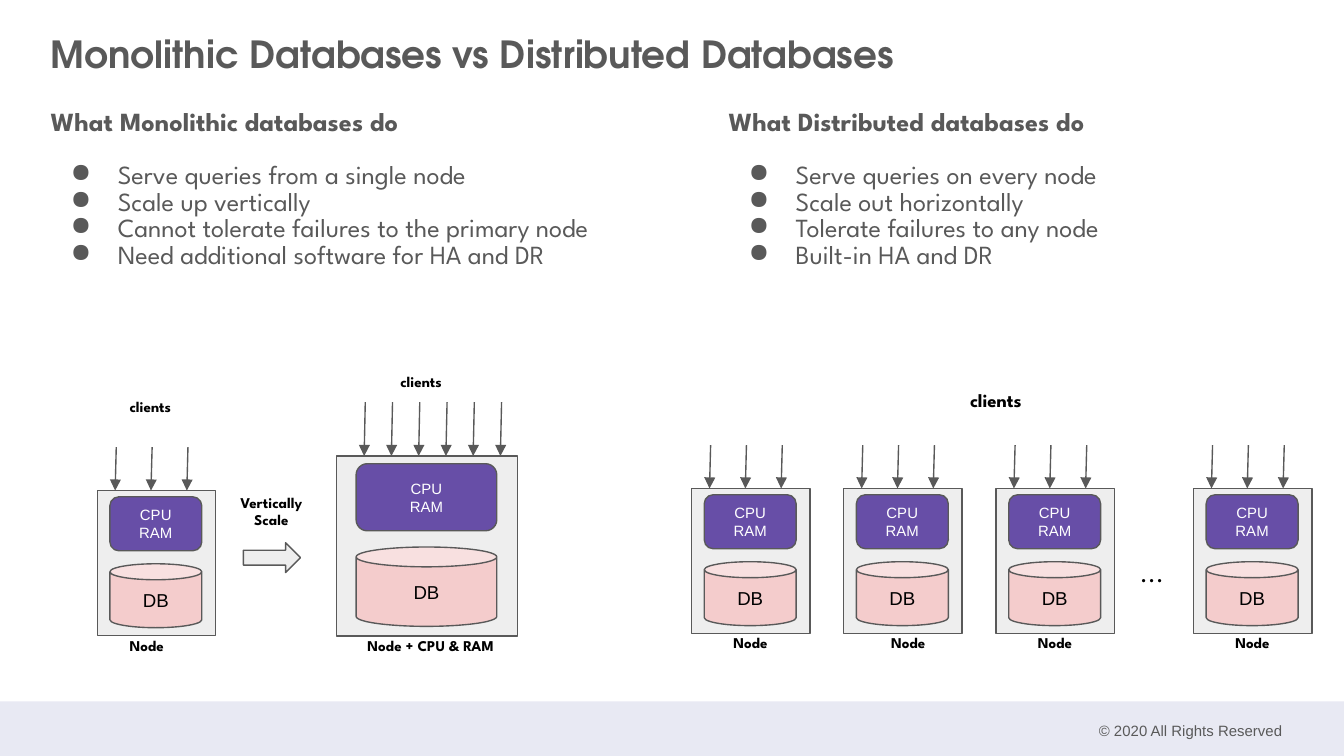
from dataclasses import dataclass

from lxml import etree
from pptx import Presentation
from pptx.dml.color import RGBColor
from pptx.enum.shapes import MSO_CONNECTOR, MSO_SHAPE
from pptx.enum.text import MSO_ANCHOR, MSO_AUTO_SIZE, PP_ALIGN
from pptx.oxml.ns import qn
from pptx.util import Pt

LEFT, CENTER = PP_ALIGN.LEFT, PP_ALIGN.CENTER
TOP, MIDDLE = MSO_ANCHOR.TOP, MSO_ANCHOR.MIDDLE
GROW, FIXED = MSO_AUTO_SIZE.SHAPE_TO_FIT_TEXT, MSO_AUTO_SIZE.NONE
STRAIGHT = MSO_CONNECTOR.STRAIGHT
RECTANGLE, ROUNDED = MSO_SHAPE.RECTANGLE, MSO_SHAPE.ROUNDED_RECTANGLE
CAN, RIGHT_ARROW = MSO_SHAPE.CAN, MSO_SHAPE.RIGHT_ARROW


@dataclass(frozen=True)
class Theme:
    gray: str = "595959"
    black: str = "000000"
    white: str = "FFFFFF"
    panel: str = "EEEEEE"
    purple: str = "674EA7"
    pink: str = "F4CCCC"
    footer: str = "E8E9F3"
    title_font: str = "TeX Gyre Adventor"
    body_font: str = "League Spartan"
    plain_font: str = "Arial"
    title_size: float = 20
    body_size: float = 14
    database_size: float = 10
    small_size: float = 8
    line_width: float = 0.75


class SlideBuilder:
    def __init__(self, slide, theme):
        self.slide = slide
        self.theme = theme

    def set_text(self, frame, lines, size, color, font, bold=False,
                 align=LEFT, anchor=TOP, inset=7.2, spacing=None):
        frame_format = {
            "word_wrap": True, "vertical_anchor": anchor,
            "margin_left": Pt(7.2), "margin_right": Pt(7.2),
            "margin_top": Pt(inset), "margin_bottom": Pt(inset),
        }
        font_format = {"name": font, "size": Pt(size), "bold": bold}
        for name, value in frame_format.items():
            setattr(frame, name, value)
        for index, line in enumerate(lines):
            paragraph = frame.paragraphs[0] if index == 0 else frame.add_paragraph()
            paragraph.alignment = align
            if spacing:
                paragraph.line_spacing = spacing
            run = paragraph.add_run()
            run.text = line
            for name, value in font_format.items():
                setattr(run.font, name, value)
            run.font.color.rgb = RGBColor.from_string(color)

    def text(self, box, lines, size, color, font, auto_size=FIXED, **style):
        shape = self.slide.shapes.add_textbox(*map(Pt, box))
        self.set_text(shape.text_frame, lines, size, color, font, **style)
        shape.text_frame.auto_size = auto_size
        return shape

    def label(self, box, lines, size=None, bold=True, align=LEFT):
        theme = self.theme
        self.text(box, lines, size or theme.small_size, theme.black,
                  theme.body_font, GROW, bold=bold, align=align)

    def column(self, box, heading, items):
        theme = self.theme
        shape = self.text(box, [heading, *items], theme.body_size, theme.gray,
                          theme.body_font, inset=3.6, spacing=0.85)
        first, *bullets = shape.text_frame.paragraphs
        first.runs[0].font.bold = True
        bullets[0].space_before = Pt(14.25)
        for paragraph in bullets:
            properties = paragraph._p.get_or_add_pPr()
            properties.set("marL", str(Pt(36)))
            properties.set("indent", str(Pt(-25.2)))
            color = etree.SubElement(properties, qn("a:buClr"))
            etree.SubElement(color, qn("a:srgbClr"), val=theme.gray)
            etree.SubElement(properties, qn("a:buChar"), char="●")

    def shape(self, parent, kind, box, fill, outlined=True):
        shape = parent.add_shape(kind, *map(Pt, box))
        shape.shadow.inherit = False
        shape.fill.solid()
        shape.fill.fore_color.rgb = RGBColor.from_string(fill)
        if outlined:
            self.outline(shape.line)
        else:
            shape.line.fill.background()
        return shape

    def outline(self, line):
        line.color.rgb = RGBColor.from_string(self.theme.gray)
        line.width = Pt(self.theme.line_width)

    def arrow(self, parent, *ends):
        connector = parent.add_connector(STRAIGHT, *map(Pt, ends))
        self.outline(connector.line)
        properties = connector._element.spPr
        etree.SubElement(properties.find(qn("a:ln")), qn("a:tailEnd"), type="triangle")
        etree.SubElement(properties, qn("a:effectLst"))

    def node(self, box, arrow_count, arrow_start, arrow_step, arrow_height):
        """Draw a server with its parts in proportion to the outer box."""
        theme = self.theme
        left, top, width, height = box
        parts = self.slide.shapes.add_group_shape().shapes
        self.shape(parts, RECTANGLE, box, theme.panel)
        part_left, part_width = left + 0.107 * width, 0.777 * width
        processor = self.shape(
            parts, ROUNDED,
            (part_left, top + 0.043 * height, part_width, 0.373 * height),
            theme.purple)
        self.set_text(processor.text_frame, ["CPU", "RAM"], theme.small_size,
                      theme.white, theme.plain_font, align=CENTER, anchor=MIDDLE)
        database = self.shape(
            parts, CAN,
            (part_left, top + 0.506 * height, part_width, 0.441 * height),
            theme.pink)
        self.set_text(database.text_frame, ["DB"], theme.database_size,
                      theme.black, theme.plain_font, align=CENTER, anchor=MIDDLE)
        for index in range(arrow_count):
            x = left + arrow_start + index * arrow_step
            self.arrow(parts, x, top - arrow_height, x - 0.6, top)


def main():
    theme = Theme()
    presentation = Presentation()
    presentation.slide_width, presentation.slide_height = Pt(720), Pt(405)
    slide = presentation.slides.add_slide(presentation.slide_layouts[6])
    builder = SlideBuilder(slide, theme)

    # Footer
    builder.shape(slide.shapes, RECTANGLE, (0, 375.8, 720, 31),
                  theme.footer, outlined=False)
    builder.text((581, 375.8, 113.8, 31), ["© 2020 All Rights Reserved"],
                 theme.small_size, theme.gray, theme.plain_font,
                 align=CENTER, anchor=MIDDLE)

    # Title and the two bullet columns
    builder.text((20, 16.6, 680, 49), ["Monolithic Databases vs Distributed Databases"],
                 theme.title_size, theme.gray, theme.title_font,
                 bold=True, inset=3.6, spacing=0.85)
    builder.column((20, 55.4, 345, 49), "What Monolithic databases do", [
        "Serve queries from a single node",
        "Scale up vertically",
        "Cannot tolerate failures to the primary node",
        "Need additional software for HA and DR",
    ])
    builder.column((383.2, 55.4, 330.5, 49), "What Distributed databases do", [
        "Serve queries on every node",
        "Scale out horizontally",
        "Tolerate failures to any node",
        "Built-in HA and DR",
    ])

    # Vertical scaling: a small node grows into a large one
    builder.node((52.1, 262.8, 63.4, 77.6), 3, 10.2, 19.2, 23.2)
    builder.label((62.4, 208, 43.2, 24.5), ["clients"])
    builder.label((62.4, 336.2, 43.2, 24.5), ["Node"])
    builder.shape(slide.shapes, RIGHT_ARROW, (130.4, 290.8, 30.6, 16), theme.panel)
    builder.label((116.6, 257, 57.6, 33.8), ["Vertically", "Scale"], align=CENTER)
    builder.node((180.4, 244.3, 97, 96.4), 6, 15.3, 14.6, 28.8)
    builder.label((207.4, 194.6, 43.2, 24.5), ["clients"])
    builder.label((184, 336.2, 93.6, 24.5), ["Node + CPU & RAM"], align=CENTER)

    # Horizontal scaling: many equal nodes
    for left, label_offset in ((370.5, 10), (452, 13), (533.6, 10), (639.4, 10)):
        builder.node((left, 261.7, 63.4, 77.6), 3, 10.2, 19.2, 23.2)
        builder.label((left + label_offset, 334.8, 43.2, 24.5), ["Node"], align=CENTER)
    builder.label((512.6, 202.5, 49, 26.6), ["clients"], theme.database_size)
    builder.label((603.5, 291, 30.2, 31.7), ["..."], theme.body_size, bold=False)

    presentation.save("out.pptx")


if __name__ == "__main__":
    main()
